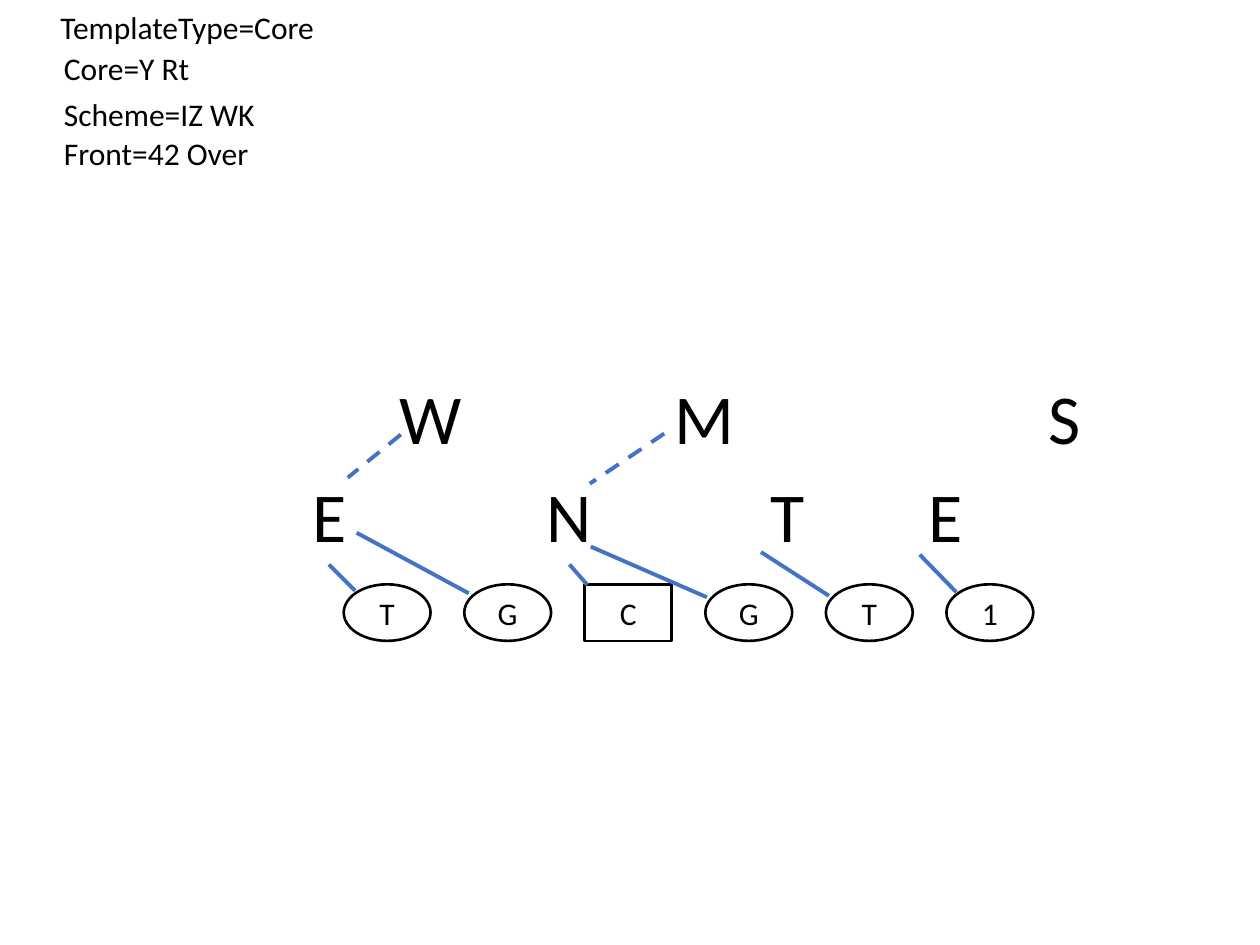
from lxml.etree import SubElement
from pptx import Presentation
from pptx.dml.color import RGBColor
from pptx.enum.dml import MSO_LINE_DASH_STYLE as Dash
from pptx.enum.shapes import MSO_CONNECTOR as Connector, MSO_SHAPE as Shape
from pptx.enum.text import MSO_ANCHOR as Anchor, MSO_AUTO_SIZE as AutoSize, PP_ALIGN as Align
from pptx.oxml.ns import qn
from pptx.util import Cm, Pt

BLACK = RGBColor(0x00, 0x00, 0x00)
WHITE = RGBColor(0xFF, 0xFF, 0xFF)
BLUE = RGBColor(0x44, 0x72, 0xC4)
FONT = "Calibri"


def write(frame, text, size):
    para = frame.paragraphs[0]
    span = para.add_run()
    span.text = text
    span.font.name = FONT
    span.font.size = Pt(size)
    span.font.color.rgb = BLACK
    return para


def add_label(page, text, size, left, top, width, height):
    box = page.shapes.add_textbox(Cm(left), Cm(top), Cm(width), Cm(height))
    box.text_frame.word_wrap = False
    box.text_frame.auto_size = AutoSize.SHAPE_TO_FIT_TEXT
    write(box.text_frame, text, size)


def add_play_call(page, left, top):
    labels = [
        ("TemplateType=Core", -0.07, 0, 5.69),
        ("Core=Y Rt", 0, 0.83, 3.07),
        ("Scheme=IZ WK", 0, 1.77, 4.39),
        ("Front=42 Over", 0, 2.54, 4.42),
    ]
    for text, x, y, width in labels:
        add_label(page, text, 18, left + x, top + y, width, 1.02)


def add_offense(page, left, top):
    pitch, width, height = 2.43, 1.75, 1.14
    for index, name in enumerate("TGCGT1"):
        outline = Shape.RECTANGLE if name == "C" else Shape.OVAL
        player = page.shapes.add_shape(
            outline, Cm(left + index * pitch), Cm(top), Cm(width), Cm(height))
        player.shadow.inherit = False
        player.fill.solid()
        player.fill.fore_color.rgb = WHITE
        player.line.color.rgb = BLACK
        player.line.width = Pt(1.5)
        player.text_frame.vertical_anchor = Anchor.MIDDLE
        write(player.text_frame, name, 18).alignment = Align.CENTER


def add_defense(page, left, top):
    linebackers = [("W", 1.75, 1.78), ("M", 7.29, 1.78), ("S", 14.83, 1.22)]
    linemen = [("E", 0, 1.22), ("N", 4.72, 1.42), ("T", 9.24, 1.22), ("E", 12.42, 1.22)]
    for row, players in enumerate((linebackers, linemen)):
        for name, x, width in players:
            add_label(page, name, 40, left + x, top + row * 1.98, width, 1.96)


def add_blocks(page, left, top):
    solid = [
        (0.58, 3.96, 1.11, 4.49),
        (1.14, 3.32, 3.4, 4.54),
        (5.43, 3.96, 5.79, 4.37),
        (5.86, 3.6, 8.2, 4.62),
        (9.29, 3.71, 10.66, 4.59),
        (12.49, 3.76, 13.23, 4.52),
    ]
    dashed = [(2.03, 1.34, 0.96, 2.21), (7.34, 1.32, 5.84, 2.33)]
    for blocks, dash in ((solid, None), (dashed, Dash.DASH)):
        for x1, y1, x2, y2 in blocks:
            block = page.shapes.add_connector(
                Connector.STRAIGHT,
                Cm(left + x1), Cm(top + y1), Cm(left + x2), Cm(top + y2))
            block.line.color.rgb = BLUE
            block.line.width = Pt(2.25)
            if dash:
                block.line.dash_style = dash
            SubElement(block._element.spPr, qn("a:effectLst"))


def main():
    deck = Presentation()
    deck.slide_width, deck.slide_height = Cm(25.4), Cm(19.05)
    page = deck.slides.add_slide(deck.slide_layouts[6])
    add_play_call(page, 1.04, 0.03)
    add_offense(page, 6.93, 11.78)
    add_defense(page, 6.05, 7.42)
    add_blocks(page, 6.05, 7.42)
    deck.save("out.pptx")


if __name__ == "__main__":
    main()
